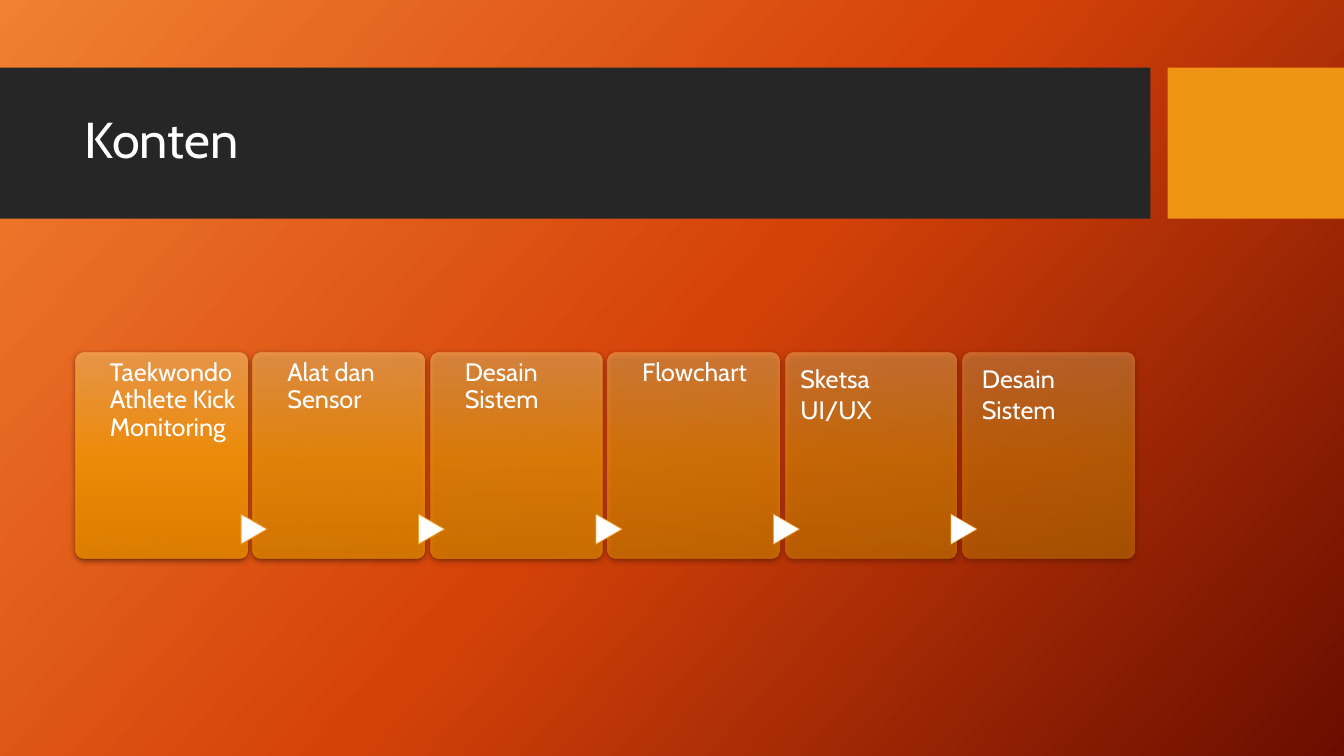
from dataclasses import dataclass

from pptx import Presentation
from pptx import util as u
from pptx.dml.color import RGBColor
from pptx.enum import shapes, text
from pptx.oxml import ns, parse_xml

KIND = shapes.MSO_SHAPE
DECL = ns.nsdecls("a")


@dataclass(frozen=True)
class Theme:
    font: str = "Cabin"
    white: str = "FFFFFF"
    dark: str = "262626"
    gold: str = "F09415"
    shade: str = "000000"
    back: tuple = ("F18031", "D54209", "6A0D00")
    card: tuple = ("F4A050", "FB960A", "E88600")
    head: int = 36
    body: int = 18


def px(n):
    return u.Emu(n * 9144)


def alpha(root, name, value):
    line = root.find(ns.qn(name))
    color = next(line.iter(ns.qn("a:srgbClr")))
    color.append(parse_xml(f'<a:alpha {DECL} val="{value * 1000}"/>'))


class Deck:
    def __init__(self, theme):
        self.theme = theme
        self.prs = Presentation()
        self.prs.slide_width, self.prs.slide_height = px(1333), px(750)
        self.slide = self.prs.slides.add_slide(self.prs.slide_layouts[5])

    def blend(self, fill, root, colors, angle, solid=100):
        fill.gradient()
        grad = next(root.iter(ns.qn("a:gradFill")))
        stops = grad.find(ns.qn("a:gsLst"))
        for stop in list(stops):
            stops.remove(stop)
        for i, color in enumerate(colors):
            stops.append(parse_xml(
                f'<a:gs {DECL} pos="{i * 50000}"><a:srgbClr val="{color}">'
                f'<a:alpha val="{solid * 1000}"/></a:srgbClr></a:gs>'))
        grad.find(ns.qn("a:lin")).set("ang", str(angle * 60000))

    def back(self):
        self.blend(self.slide.background.fill, self.slide.element,
                   self.theme.back, 42)

    def shape(self, kind, box, color=None):
        item = self.slide.shapes.add_shape(kind, *map(px, box))
        item.shadow.inherit = False
        item.line.fill.background()
        if color:
            item.fill.solid()
            item.fill.fore_color.rgb = RGBColor.from_string(color)
        return item

    def style(self, frame, words, size, space):
        frame.word_wrap = True
        frame.auto_size = text.MSO_AUTO_SIZE.NONE
        frame.text = words
        para = frame.paragraphs[0]
        para.alignment = text.PP_ALIGN.LEFT
        para.line_spacing = space
        para.font.name = self.theme.font
        para.font.size = u.Pt(size)
        para.font.color.rgb = RGBColor.from_string(self.theme.white)

    def title(self, words, box):
        item = self.slide.shapes.title
        item.left, item.top, item.width, item.height = map(px, box)
        self.slide.shapes.element.append(item.element)
        self.style(item.text_frame, words, self.theme.head, 0.9)
        item.text_frame.vertical_anchor = text.MSO_ANCHOR.MIDDLE

    def card(self, box, solid):
        item = self.shape(KIND.ROUNDED_RECTANGLE, box)
        item.adjustments[0] = 0.05
        root = item.element.spPr
        self.blend(item.fill, root, self.theme.card, 90, solid)
        root.find(ns.qn("a:effectLst")).append(parse_xml(
            f'<a:outerShdw {DECL} blurRad="{u.Pt(4.5)}" dist="{u.Pt(1.5)}" '
            'dir="5400000" algn="ctr" rotWithShape="0">'
            f'<a:srgbClr val="{self.theme.shade}">'
            '<a:alpha val="63000"/></a:srgbClr></a:outerShdw>'))

    def arrow(self, box, solid):
        item = self.shape(KIND.FLOWCHART_EXTRACT, box, self.theme.white)
        item.rotation = 90
        item.line.color.rgb = RGBColor.from_string(self.theme.gold)
        item.line.width = u.Pt(0.75)
        alpha(item.element.spPr, "a:ln", solid)

    def label(self, words, box, space=1.0, inset=None):
        frame = self.slide.shapes.add_textbox(*map(px, box)).text_frame
        if inset is not None:
            frame.margin_left = frame.margin_right = frame.margin_bottom = 0
            frame.margin_top = px(inset)
        self.style(frame, words, self.theme.body, space)


def main():
    theme = Theme()
    deck = Deck(theme)
    deck.back()
    deck.shape(KIND.RECTANGLE, (0, 67, 1141, 150), theme.dark)
    deck.shape(KIND.RECTANGLE, (1158, 67, 175, 150), theme.gold)
    deck.title("Konten", (74, 82, 1051, 118))

    steps = ["Taekwondo Athlete Kick Monitoring", "Alat dan Sensor",
             "Desain Sistem", "Flowchart"]
    extra = [("Sketsa UI/UX", 784), ("Desain Sistem", 964)]
    for i in range(len(steps) + len(extra)):
        left = 75 + 176 * i
        deck.card((left, 350, 170, 204), 90 - 8 * i)
        if i:
            deck.arrow((left - 14, 512, 30, 26), 100 - 10 * i)
        if i < len(steps):
            deck.label(steps[i], (left + 34, 350, 127, 204), 0.9, 7)
    for words, left in extra:
        deck.label(words, (left, 356, 152, 71))
    deck.prs.save("out.pptx")


if __name__ == "__main__":
    main()
